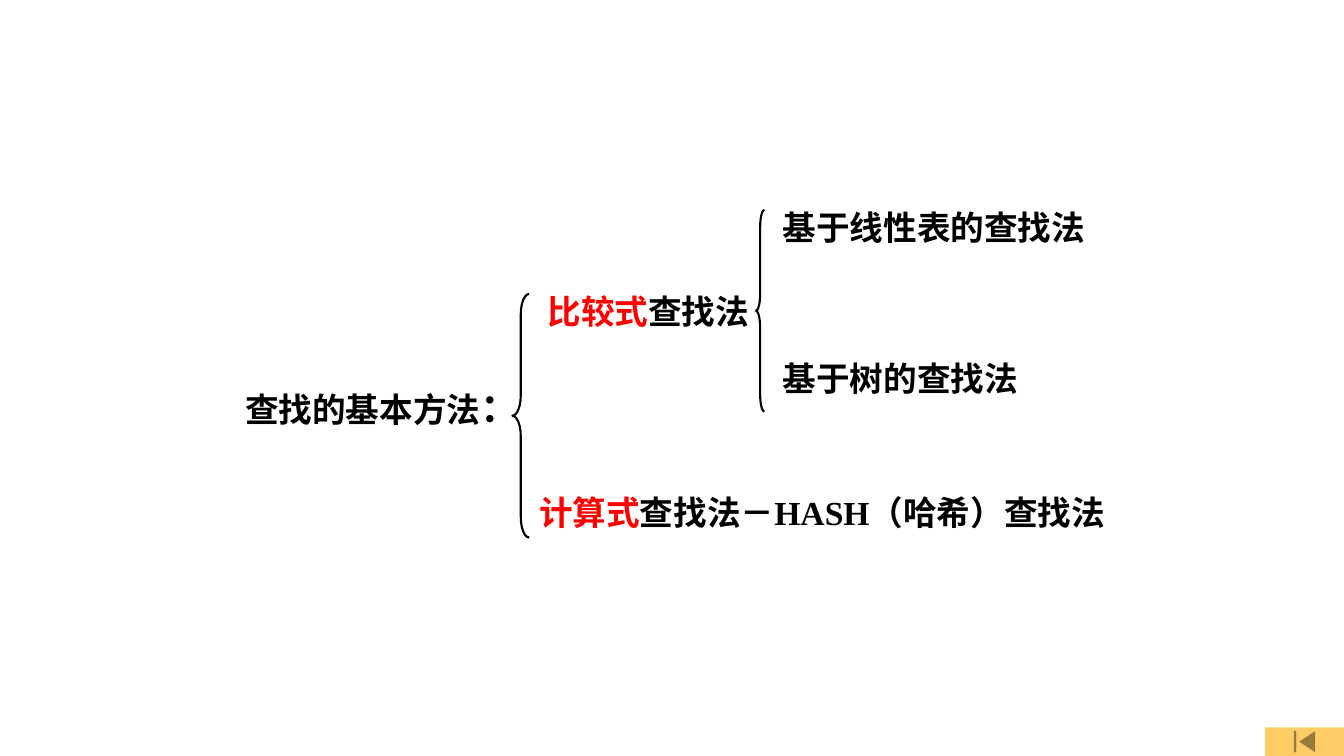
from pptx import Presentation
from pptx.dml.color import RGBColor
from pptx.enum.shapes import MSO_SHAPE
from pptx.enum.text import MSO_AUTO_SIZE
from pptx.util import Inches, Pt

BRACE = MSO_SHAPE.LEFT_BRACE
BUTTON = MSO_SHAPE.ACTION_BUTTON_BEGINNING
GROW = MSO_AUTO_SIZE.SHAPE_TO_FIT_TEXT
COLOURS = {"text": "000000", "key": "FF0000", "button": "FFCC66"}
FONT = "Times New Roman"
COLUMNS, ROWS = 160, 90

deck = Presentation()
deck.slide_width, deck.slide_height = Inches(13.33), Inches(7.5)
page = deck.slides.add_slide(deck.slide_layouts[6])


def place(column, row, columns, rows):
    """Turn grid cells into left, top, width and height."""
    cell_width, cell_height = deck.slide_width / COLUMNS, deck.slide_height / ROWS
    return (round(column * cell_width), round(row * cell_height),
            round(columns * cell_width), round(rows * cell_height))


def colour(name):
    return RGBColor.from_string(COLOURS[name])


button = page.shapes.add_shape(BUTTON, *place(150.6, 86.6, 9.4, 3.4))
button.shadow.inherit = False
button.fill.solid()
button.fill.fore_color.rgb = colour("button")
button.line.fill.background()

# Grid place and the ratio of the curl to the brace's width
braces = [
    ((61, 35, 2, 29), 1.21),
    ((90, 25, 1, 24), 2),
]
for cells, curl in braces:
    brace = page.shapes.add_shape(BRACE, *place(*cells))
    brace.shadow.inherit = False
    brace.adjustments[0] = curl
    brace.adjustments[1] = 0.5
    brace.fill.background()
    brace.line.color.rgb = colour("text")
    brace.line.width = Pt(1.5)

# Grid place and the runs: words, colour, size
labels = [
    ((28, 45, 33, 6.8), [("查找的基本方法", "text", 24), ("：", "text", 28)]),
    ((64, 34, 29, 6), [("比较式", "key", 24), ("查找法", "text", 24)]),
    ((63, 58, 72, 6), [("计算式", "key", 24), ("查找法－HASH（哈希）查找法", "text", 24)]),
    ((92, 24, 42, 6), [("基于线性表的查找法", "text", 24)]),
    ((92, 42, 37, 6), [("基于树的查找法", "text", 24)]),
]
for cells, runs in labels:
    box = page.shapes.add_textbox(*place(*cells))
    box.text_frame.word_wrap = True
    box.text_frame.auto_size = GROW
    para = box.text_frame.paragraphs[0]
    for words, name, size in runs:
        span = para.add_run()
        span.text = words
        span.font.name = FONT
        span.font.size = Pt(size)
        span.font.bold = True
        span.font.color.rgb = colour(name)

deck.save("out.pptx")
